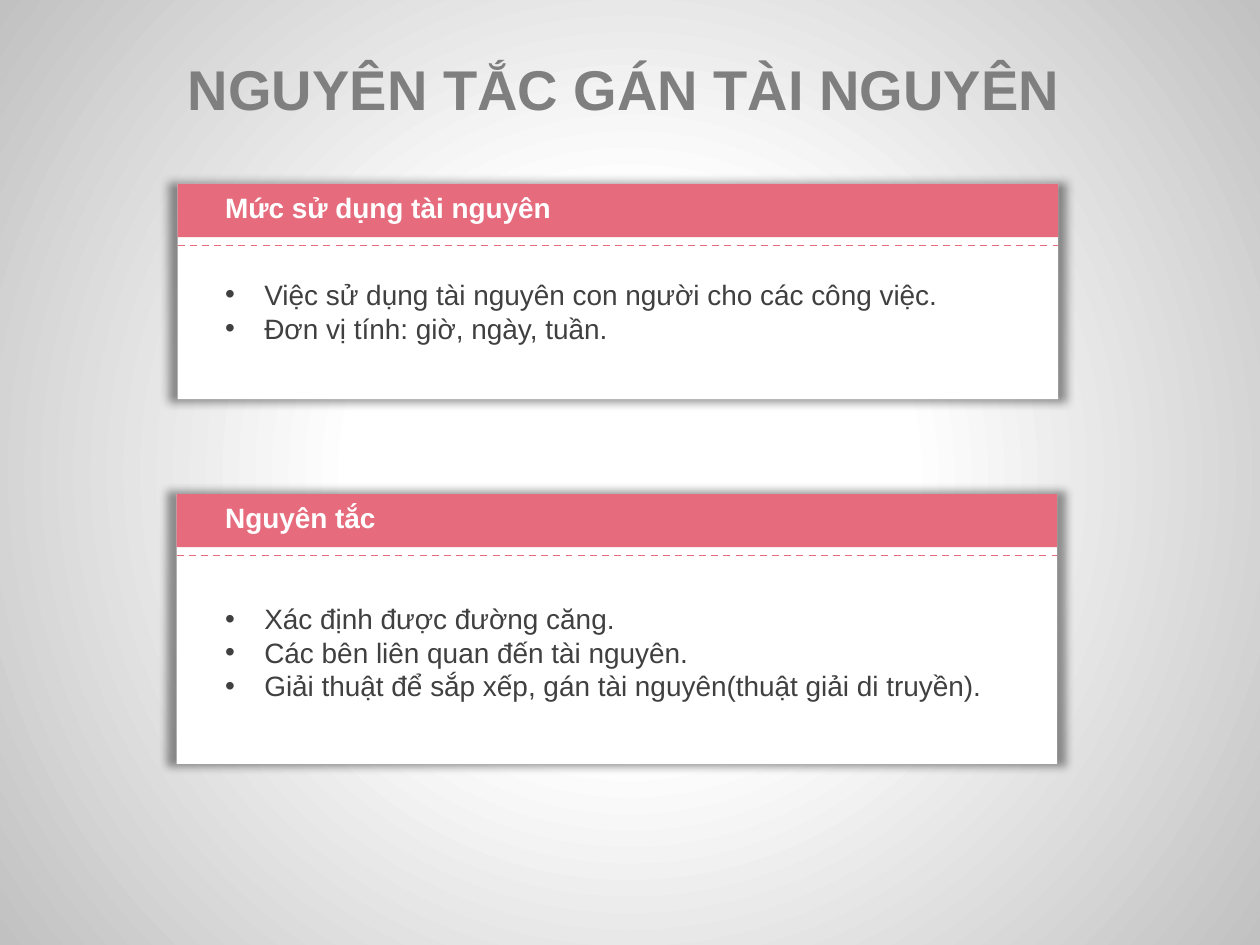
from pptx import Presentation
from pptx.dml.color import RGBColor
from pptx.enum.dml import MSO_LINE
from pptx.enum.shapes import MSO_CONNECTOR, MSO_SHAPE
from pptx.enum.text import MSO_ANCHOR, MSO_AUTO_SIZE, PP_ALIGN
from pptx.oxml import parse_xml
from pptx.util import Cm, Pt

# Content
TITLE = "NGUYÊN TẮC GÁN TÀI NGUYÊN"
CARDS = [
    dict(head="Mức sử dụng tài nguyên", left=3.58, top=3.71, high=4.34,
         gap=1.75, tall=1.63,
         items=["Việc sử dụng tài nguyên con người cho các công việc.",
                "Đơn vị tính: giờ, ngày, tuần."]),
    dict(head="Nguyên tắc", left=3.56, top=9.96, high=5.44,
         gap=2.03, tall=2.31,
         items=["Xác định được đường căng.",
                "Các bên liên quan đến tài nguyên.",
                "Giải thuật để sắp xếp, gán tài nguyên(thuật giải di truyền)."]),
]

# Style
PINK, WHITE, GRAY, DARK = "E66C7D", "FFFFFF", "7F7F7F", "404040"
WIDE, BAND, RULE = 17.75, 1.07, 1.24
TEXT_X, HANG = 4.29, 0.79
NS = 'xmlns:a="http://schemas.openxmlformats.org/drawingml/2006/main"'
PNS = 'xmlns:p="http://schemas.openxmlformats.org/presentationml/2006/main"'
GLOW = f"""<a:effectLst {NS}>
  <a:outerShdw blurRad="63500" sx="102000" sy="102000" algn="ctr" rotWithShape="0">
    <a:srgbClr val="000000"><a:alpha val="40000"/></a:srgbClr>
  </a:outerShdw></a:effectLst>"""
BACK = f"""<p:bg {PNS} {NS}><p:bgPr><a:gradFill rotWithShape="1">
  <a:gsLst>
    <a:gs pos="35000"><a:srgbClr val="FFFFFF"/></a:gs>
    <a:gs pos="100000"><a:srgbClr val="C1C1C1"/></a:gs>
  </a:gsLst>
  <a:path path="circle"><a:fillToRect l="50000" t="50000" r="50000" b="50000"/></a:path>
  </a:gradFill><a:effectLst/></p:bgPr></p:bg>"""


def color(code):
    return RGBColor.from_string(code)


def add_text(slide, lines, box, size=16, tint=DARK, bold=False,
             align=PP_ALIGN.LEFT, bullet=False):
    frame = slide.shapes.add_textbox(*map(Cm, box)).text_frame
    frame.word_wrap = True
    frame.auto_size = MSO_AUTO_SIZE.SHAPE_TO_FIT_TEXT
    frame.vertical_anchor = MSO_ANCHOR.MIDDLE
    for i, line in enumerate(lines):
        para = frame.add_paragraph() if i else frame.paragraphs[0]
        para.alignment = align
        if bullet:
            props = para._p.get_or_add_pPr()
            props.set("marL", str(Cm(HANG)))
            props.set("indent", str(-Cm(HANG)))
            props.append(parse_xml(f'<a:buFont {NS} typeface="Arial"/>'))
            props.append(parse_xml(f'<a:buChar {NS} char="•"/>'))
        run = para.add_run()
        run.text = line
        font = run.font
        font.name, font.size, font.bold = "Arial", Pt(size), bold
        font.color.rgb = color(tint)


def add_rect(shapes, box, fill):
    rect = shapes.add_shape(MSO_SHAPE.RECTANGLE, *map(Cm, box))
    rect.shadow.inherit = False
    rect.fill.solid()
    rect.fill.fore_color.rgb = color(fill)
    rect.line.fill.background()
    return rect


def add_card(slide, card):
    left, top = card["left"], card["top"]
    # Panel, header band and dashed rule
    shapes = slide.shapes.add_group_shape().shapes
    panel = add_rect(shapes, (left, top, WIDE, card["high"]), WHITE)
    props = panel._element.spPr
    props.replace(props[-1], parse_xml(GLOW))
    add_rect(shapes, (left, top, WIDE, BAND), PINK)
    y = Cm(top + RULE)
    rule = shapes.add_connector(MSO_CONNECTOR.STRAIGHT, Cm(left), y,
                                Cm(left + WIDE), y)
    rule.line.color.rgb = color(PINK)
    rule.line.width = Pt(1)
    rule.line.dash_style = MSO_LINE.DASH
    rule._element.spPr.append(parse_xml(f"<a:effectLst {NS}/>"))
    # Heading and bullets
    add_text(slide, card["items"],
             (TEXT_X, top + card["gap"], 16.71, card["tall"]), bullet=True)
    add_text(slide, [card["head"]], (TEXT_X, top, 15.47, 0.94),
             tint=WHITE, bold=True)


def main():
    deck = Presentation()
    deck.slide_width, deck.slide_height = Cm(25.4), Cm(19.05)
    slide = deck.slides.add_slide(deck.slide_layouts[6])
    slide._element.cSld.insert(0, parse_xml(BACK))
    add_text(slide, [TITLE], (3.45, 0.97, 18.26, 1.63), size=32, tint=GRAY,
             bold=True, align=PP_ALIGN.CENTER)
    for card in CARDS:
        add_card(slide, card)
    deck.save("out.pptx")


if __name__ == "__main__":
    main()
